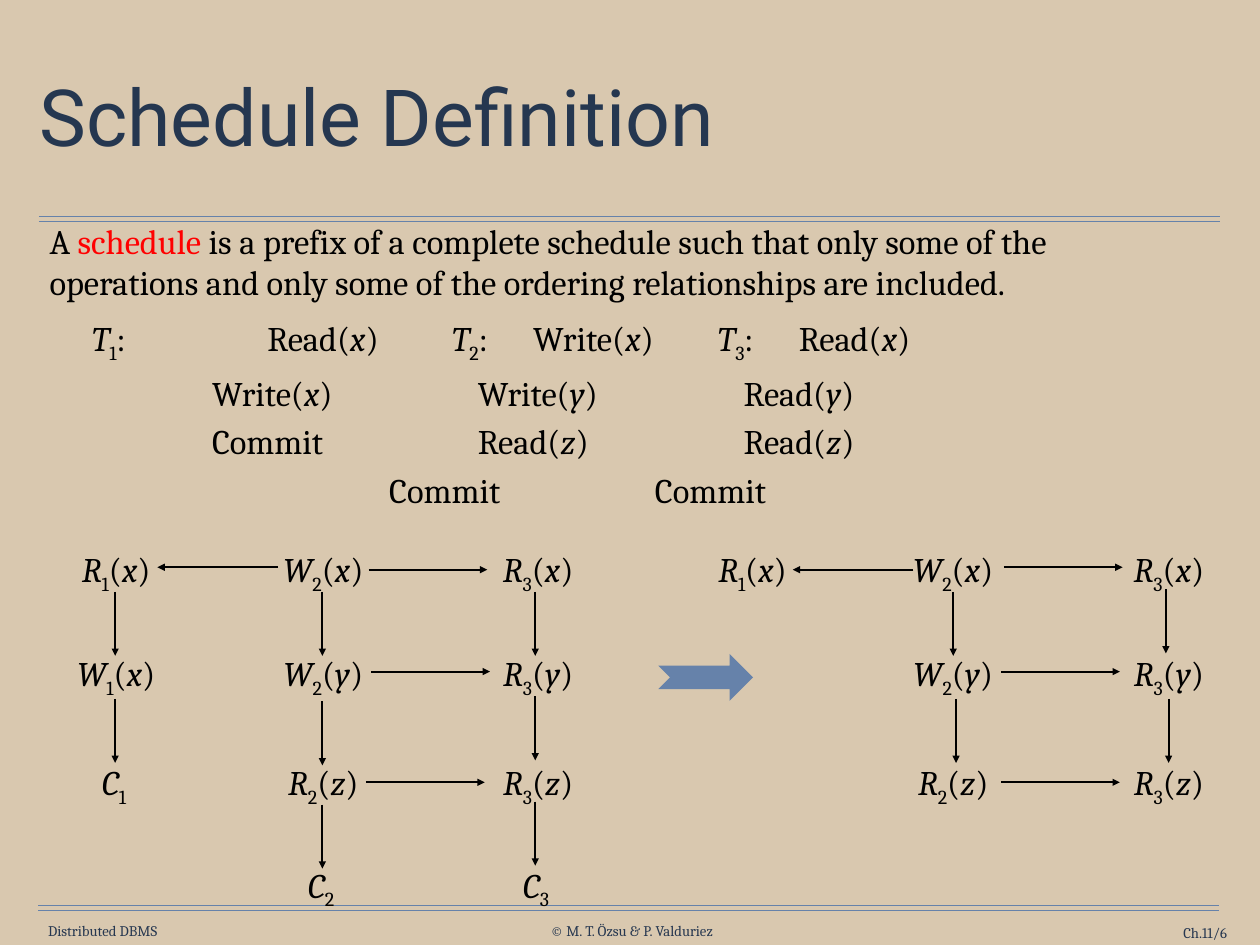
from dataclasses import dataclass
from itertools import groupby

from lxml import etree
from pptx import Presentation
from pptx.dml.color import RGBColor
from pptx.enum.shapes import MSO_CONNECTOR, MSO_SHAPE
from pptx.enum.text import MSO_ANCHOR, MSO_AUTO_SIZE, PP_ALIGN
from pptx.oxml.ns import qn
from pptx.util import Pt

LEFT, CENTER, RIGHT = PP_ALIGN.LEFT, PP_ALIGN.CENTER, PP_ALIGN.RIGHT
TOP, MIDDLE = MSO_ANCHOR.TOP, MSO_ANCHOR.MIDDLE
GROW = MSO_AUTO_SIZE.SHAPE_TO_FIT_TEXT
STRAIGHT = MSO_CONNECTOR.STRAIGHT
NOTCHED_ARROW = MSO_SHAPE.NOTCHED_RIGHT_ARROW
MARKS = {"*": "italic", "_": "sub", "|": "accent"}


@dataclass(frozen=True)
class Theme:
    """Colours, fonts and type sizes of the slide."""
    bg: str = "D9C8AF"
    rule: str = "6682AA"
    title: str = "253750"
    footer: str = "263750"
    ink: str = "000000"
    accent: str = "FF0000"
    head_font: str = "Roboto"
    body_font: str = "Cambria"
    title_size: int = 64
    body_size: int = 28
    footer_size: int = 12


def rgb(value):
    """Turn a hex string into a colour."""
    return RGBColor.from_string(value)


def parse(text):
    """Split marked text into (text, styles): *italic*, _subscript_, |accent|."""
    on, chars = frozenset(), []
    for c in text:
        if c in MARKS:
            on = on ^ {MARKS[c]}
        else:
            chars.append((c, on))
    for styles, group in groupby(chars, key=lambda item: item[1]):
        yield "".join(c for c, _ in group), styles


def write(p, text, *, size, font, color, accent, align=LEFT, before=0,
          spacing=None, indent=None):
    """Fill a paragraph with marked text and format it."""
    p.alignment, p.space_before = align, Pt(before)
    if spacing:
        p.line_spacing = spacing
    if indent:
        p.level = 1
        pPr = p._p.get_or_add_pPr()
        pPr.set("marL", str(Pt(indent[0])))
        pPr.set("indent", str(Pt(indent[1])))
        pPr.set("defTabSz", str(Pt(72)))
    for part, styles in parse(text):
        r = p.add_run()
        r.text = part
        r.font.size, r.font.name = Pt(size), font
        r.font.italic = "italic" in styles
        r.font.color.rgb = rgb(accent if "accent" in styles else color)
        if "sub" in styles:
            r.font._element.set("baseline", "-25000")


class Deck:
    """Holds the theme and the current slide."""

    def __init__(self, prs, theme):
        """Add a blank slide with the theme background."""
        self.t = theme
        self.s = prs.slides.add_slide(prs.slide_layouts[6])
        fill = self.s.background.fill
        fill.solid()
        fill.fore_color.rgb = rgb(theme.bg)

    def text(self, box, paragraphs, *, inset=(0, 0), anchor=TOP, wrap=True,
             grow=False, **fmt):
        """Add a text box from (text, format) pairs."""
        sp = self.s.shapes.add_textbox(*map(Pt, box))
        tf = sp.text_frame
        tf.word_wrap, tf.vertical_anchor = wrap, anchor
        tf.margin_left = tf.margin_right = Pt(inset[0])
        tf.margin_top = tf.margin_bottom = Pt(inset[1])
        if grow:
            tf.auto_size = GROW
        base = dict(size=self.t.body_size, font=self.t.body_font,
                    color=self.t.ink, accent=self.t.accent)
        for i, (text, own) in enumerate(paragraphs):
            p = tf.add_paragraph() if i else tf.paragraphs[0]
            write(p, text, **{**base, **fmt, **own})

    def footer(self, box, text, align, wrap=False):
        """Add one footer text."""
        self.text(box, [(text, {})], anchor=MIDDLE, wrap=wrap, grow=True,
                  align=align, size=self.t.footer_size, color=self.t.footer)

    def node(self, label, cx, top, width):
        """Add an operation label centred on cx."""
        self.text((cx - width / 2, top, width, 45), [(label, {})],
                  inset=(10, 5), wrap=False, grow=True, align=CENTER)

    def line(self, x, y, dx, dy, color, width, arrow=False):
        """Add a straight line, with an arrowhead at its end if asked."""
        sp = self.s.shapes.add_connector(
            STRAIGHT, Pt(x), Pt(y), Pt(x + dx), Pt(y + dy))
        sp.line.color.rgb, sp.line.width = rgb(color), Pt(width)
        if arrow:
            etree.SubElement(sp.line._get_or_add_ln(), qn("a:tailEnd"), type="triangle")
        etree.SubElement(sp._element.spPr, qn("a:effectLst"))

    def arrow(self, x, y, dx, dy):
        """Add an ordering arrow."""
        self.line(x, y, dx, dy, self.t.ink, 1.5, arrow=True)

    def shape(self, kind, box, color):
        """Add a plain filled shape."""
        sp = self.s.shapes.add_shape(kind, *map(Pt, box))
        sp.shadow.inherit = False
        sp.fill.solid()
        sp.fill.fore_color.rgb = rgb(color)
        sp.line.fill.background()


FIRST = dict(before=12, indent=(105, -70.5))
NEXT = dict(before=6, indent=(60, -29))
BODY = [
    ("A |schedule |is a prefix of a complete schedule such that only some of the "
     "operations and only some of the ordering relationships are included.",
     dict(before=12)),
    ("*T*_1_:\t\tRead(*x*)\t *T*_2_:\tWrite(*x*)\t *T*_3_:\tRead(*x*)", FIRST),
    ("\t\tWrite(*x*)\t\tWrite(*y*)\t\tRead(*y*)", NEXT),
    ("\t\tCommit\t\tRead(*z*)\t\tRead(*z*)", NEXT),
    ("\t\t\t\tCommit\t\tCommit", NEXT),
]
ROWS = (440.6, 525, 613.5, 697)
WIDTHS = {"W": 92, "R": 85, "C": 51}
COLUMNS = [
    (94.5, "R1x W1x C1"), (262.8, "W2x W2y R2z C2"), (437.4, "R3x R3y R3z C3"),
    (611.6, "R1x"), (774.7, "W2x W2y R2z"), (950, "R3x R3y R3z"),
]
DOWN = [
    (93.6, (481, 568)), (262, (481, 570, 654)), (435, (481, 566, 651.5)),
    (774.7, (481,)), (777, (568,)), (947.5, (479,)), (949.7, (568,)),
]
ACROSS = [
    (226, 461, -98), (299.5, 463, 96.5), (301.7, 545.8, 96.5), (297.4, 635.8, 96.5),
    (742.3, 463, -98), (815.8, 461, 96.5), (813.6, 545.8, 96.5), (813.6, 635.8, 96.5),
]


def main():
    """Build the slide and save it."""
    prs = Presentation()
    prs.slide_width, prs.slide_height = Pt(1024), Pt(768)
    theme = Theme()
    deck = Deck(prs, theme)
    for x, y in ((31.7, 175.7), (31.7, 180), (31, 735.8), (31, 740)):
        deck.line(x, y, 960, 0, theme.rule, 1)
    deck.footer((33.8, 749.5, 99.4, 14.4), "Distributed DBMS", CENTER)
    deck.footer((438.5, 749.5, 149.8, 14.4), "© M. T. Özsu & P. Valduriez", CENTER)
    deck.footer((886.3, 751, 110.9, 14.4), "Ch.11/6", RIGHT, wrap=True)
    deck.text((36, 174.2, 895.7, 288), BODY, inset=(4.3, 4.3))
    deck.text((28, 35.3, 967.7, 126.7), [("Schedule Definition", {})],
              inset=(4.3, 4.3), anchor=MIDDLE, spacing=0.9,
              size=theme.title_size, font=theme.head_font, color=theme.title)
    for cx, names in COLUMNS:
        for top, (kind, number, *item) in zip(ROWS, names.split()):
            label = f"*{kind}*_{number}_"
            label += f"(*{item[0]}*)" if item else "_ _"
            deck.node(label, cx, top, WIDTHS[kind])
    for x, starts in DOWN:
        for y in starts:
            deck.arrow(x, y, 0, 52)
    for x, y, dx in ACROSS:
        deck.arrow(x, y, dx, 0)
    deck.shape(NOTCHED_ARROW, (535, 531.4, 77, 38.2), theme.rule)
    prs.save("out.pptx")


main()
